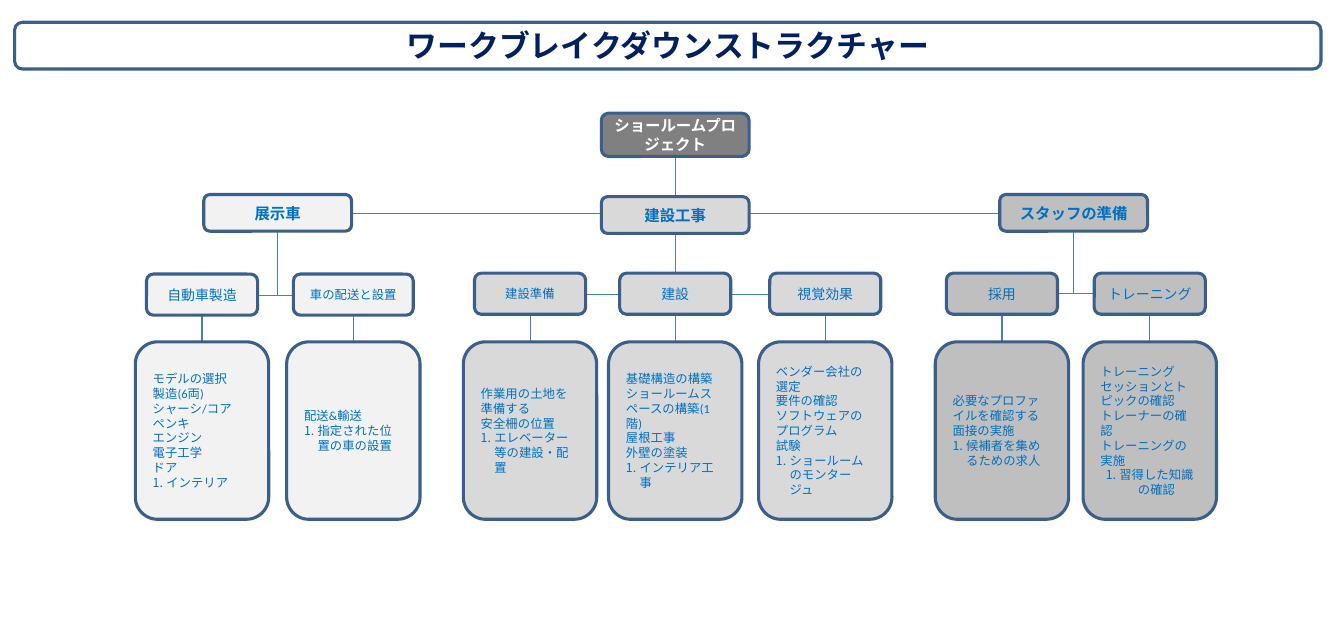
from lxml import etree
from pptx import Presentation
from pptx import util as u
from pptx.dml.color import RGBColor
from pptx.enum import shapes, text
from pptx.oxml import ns

COLORS = {
    "white": "FFFFFF", "root": "808080", "border": "3A5F8C", "line": "4B7EBC",
    "title": "002060", "text": "0070C0",
    "cars": "F2F2F2", "building": "D9D9D9", "staff": "BFBFBF",
}

presentation = Presentation()
presentation.slide_width, presentation.slide_height = u.Cm(30.73), u.Cm(14.48)
slide = presentation.slides.add_slide(presentation.slide_layouts[6])


def add_box(center, top, width, height, fill, lines, size, color="text", bold=False):
    shape = slide.shapes.add_shape(
        shapes.MSO_SHAPE.ROUNDED_RECTANGLE,
        u.Cm(center - width / 2), u.Cm(top), u.Cm(width), u.Cm(height))
    shape.shadow.inherit = False
    shape.fill.solid()
    shape.fill.fore_color.rgb = RGBColor.from_string(COLORS[fill])
    shape.line.color.rgb = RGBColor.from_string(COLORS["border"])
    shape.line.width = u.Pt(2)
    frame = shape.text_frame
    frame.word_wrap = True
    frame.vertical_anchor = text.MSO_ANCHOR.MIDDLE
    frame.text = "\n".join(lines)
    for paragraph in frame.paragraphs:
        paragraph.alignment = text.PP_ALIGN.CENTER
        paragraph.font.name = "Calibri"
        paragraph.font.size = u.Pt(size)
        paragraph.font.bold = bold
        paragraph.font.color.rgb = RGBColor.from_string(COLORS[color])
    return shape


def add_line(x1, y1, x2, y2):
    line = slide.shapes.add_connector(
        shapes.MSO_CONNECTOR.STRAIGHT, u.Cm(x1), u.Cm(y1), u.Cm(x2), u.Cm(y2))
    line.line.color.rgb = RGBColor.from_string(COLORS["line"])
    line.line.width = u.Pt(0.75)
    etree.SubElement(line._element.spPr, ns.qn("a:effectLst"))


# Sizes shared by each level of the tree
BRANCH_WIDTH, BRANCH_HEIGHT = 3.38, 0.84
PACKAGE_HEIGHT = 0.94
DETAIL_TOP, DETAIL_WIDTH, DETAIL_HEIGHT = 7.82, 3.05, 4.06
ROOT_CENTER, ROOT_TOP, ROOT_HEIGHT = 15.44, 2.59, 0.99

# Branch: name, fill, center, top, package top, join height, packages
# Package: name, center, width, font size, tasks
branches = [
    ("展示車", "cars", 6.35, 4.45, 6.27, 6.76, [
        ("自動車製造", 4.62, 2.54, 9,
         ["モデルの選択", "製造(6両)", "シャーシ/コア", "ペンキ", "エンジン",
          "電子工学", "ドア", "インテリア"]),
        ("車の配送と設置", 8.08, 2.74, 8,
         ["配送&輸送", "指定された位置の車の設置"]),
    ]),
    ("建設工事", "building", 15.44, 4.5, 6.25, 6.73, [
        ("建設準備", 12.12, 2.54, 8,
         ["作業用の土地を準備する", "安全柵の位置", "エレベーター等の建設・配置"]),
        ("建設", 15.44, 2.54, 9,
         ["基礎構造の構築", "ショールームスペースの構築(1階)", "屋根工事",
          "外壁の塗装", "インテリア工事"]),
        ("視覚効果", 18.87, 2.54, 9,
         ["ベンダー会社の選定", "要件の確認", "ソフトウェアのプログラム",
          "試験", "ショールームのモンタージュ"]),
    ]),
    ("スタッフの準備", "staff", 24.55, 4.45, 6.25, 6.71, [
        ("採用", 22.91, 2.54, 9,
         ["必要なプロファイルを確認する", "面接の実施", "候補者を集めるための求人"]),
        ("トレーニング", 26.29, 2.54, 9,
         ["トレーニングセッションとトピックの確認", "トレーナーの確認",
          "トレーニングの実施", "習得した知識の確認"]),
    ]),
]

# Title
add_box(15.27, 0.51, 29.87, 1.07, "white",
        ["ワークブレイクダウンストラクチャー"], 20, "title", True)

# Root and the line across the branches
add_line(branches[0][2] + BRANCH_WIDTH / 2, 4.88,
         branches[-1][2] - BRANCH_WIDTH / 2, 4.88)
add_line(ROOT_CENTER, ROOT_TOP + ROOT_HEIGHT, ROOT_CENTER, branches[1][3])
add_box(ROOT_CENTER, ROOT_TOP, BRANCH_WIDTH, ROOT_HEIGHT, "root",
        ["ショールームプロジェクト"], 10, "white", True)

for name, fill, center, top, package_top, join, packages in branches:
    # Branch with its trunk and the line joining its packages
    first, last = packages[0], packages[-1]
    trunk_end = package_top if len(packages) == 3 else join
    add_line(center, top + BRANCH_HEIGHT, center, trunk_end)
    add_line(first[1] + first[2] / 2, join, last[1] - last[2] / 2, join)
    add_box(center, top, BRANCH_WIDTH, BRANCH_HEIGHT, fill, [name], 10, bold=True)

    # Packages and their tasks
    for package, x, width, size, tasks in packages:
        add_line(x, package_top + PACKAGE_HEIGHT, x, DETAIL_TOP)
        add_box(x, package_top, width, PACKAGE_HEIGHT, fill, [package], size)
        detail = add_box(x, DETAIL_TOP, DETAIL_WIDTH, DETAIL_HEIGHT, fill, tasks, 8)
        paragraphs = detail.text_frame.paragraphs
        for paragraph in paragraphs:
            paragraph.alignment = text.PP_ALIGN.LEFT

        # The last task is numbered; only the training one is centred
        if package == "トレーニング":
            paragraphs[-1].alignment = text.PP_ALIGN.CENTER
        properties = paragraphs[-1]._p.get_or_add_pPr()
        properties.set("marL", str(u.Cm(0.31)))
        properties.set("indent", str(u.Cm(-0.31)))
        number = etree.Element(ns.qn("a:buAutoNum"), type="arabicPeriod")
        properties.insert(0, number)

presentation.save("out.pptx")
